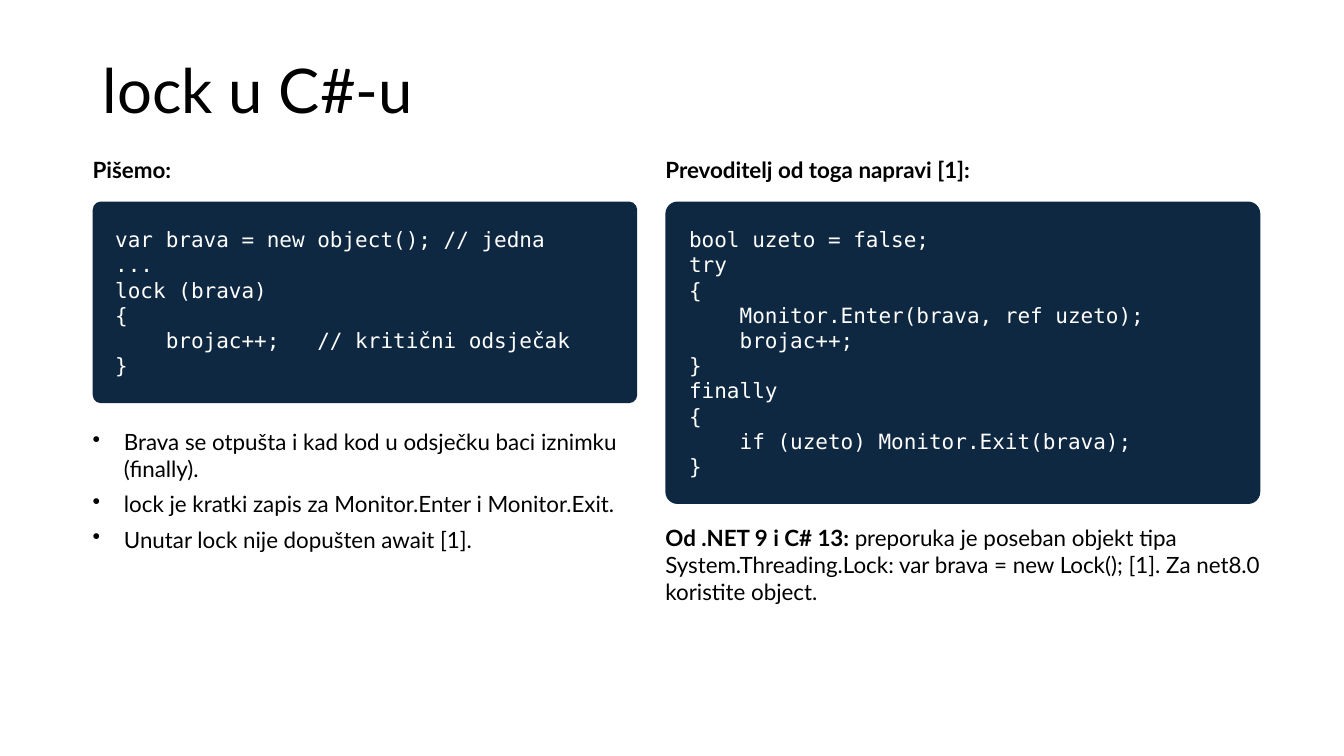
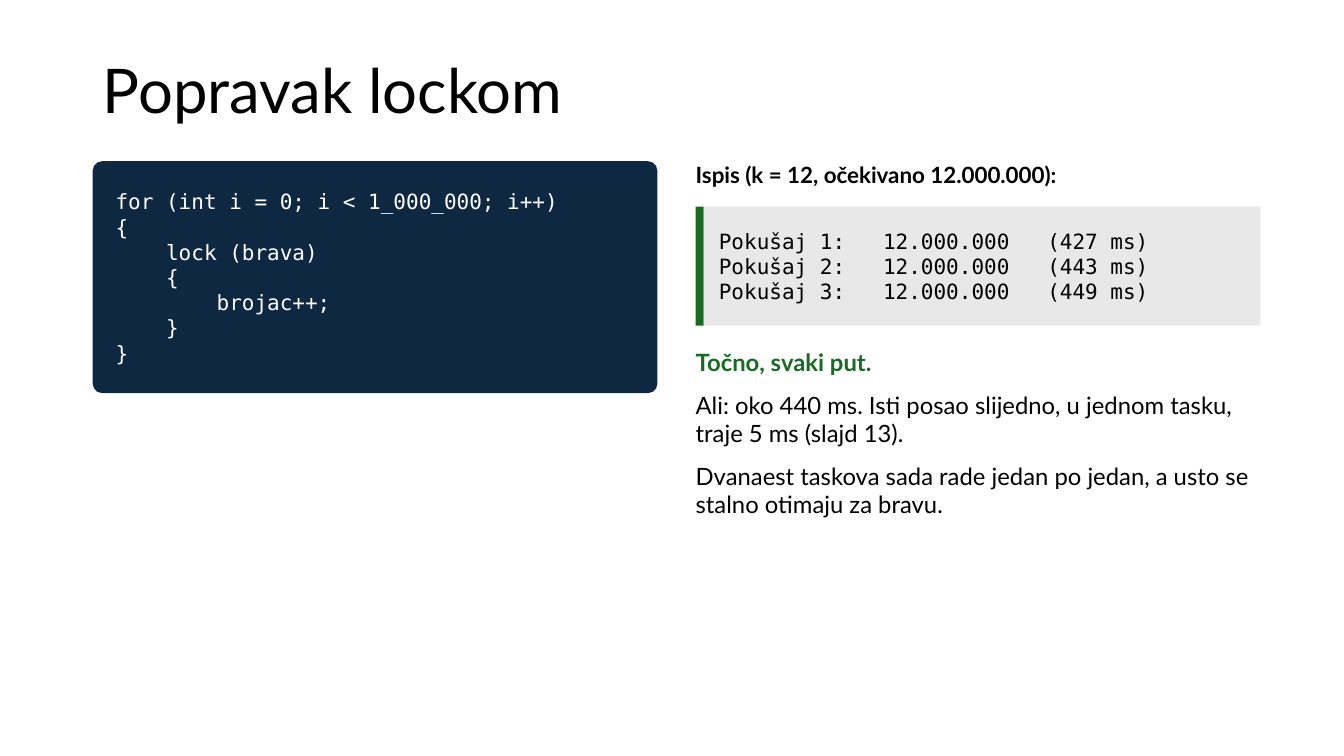
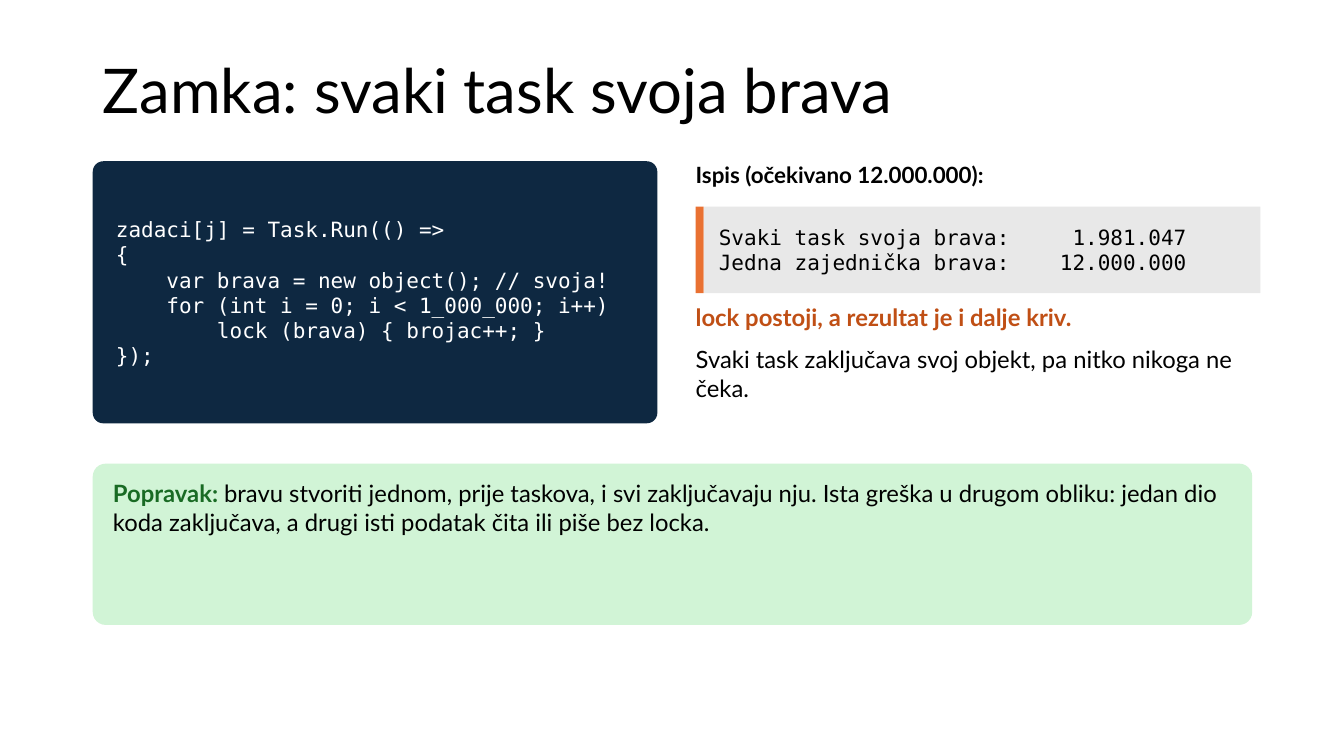
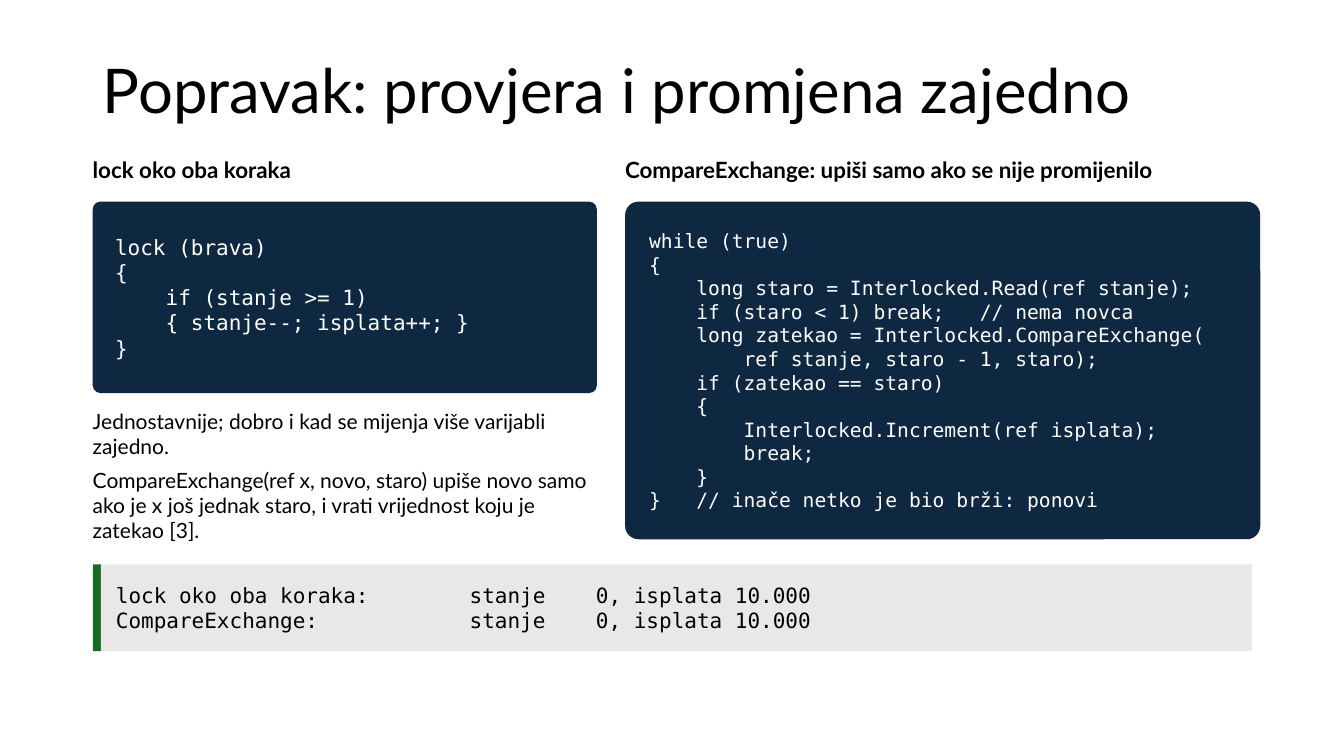
from typing import NamedTuple

from lxml.etree import SubElement
from pptx import Presentation
from pptx.dml.color import RGBColor
from pptx.enum.shapes import MSO_SHAPE
from pptx.enum.text import MSO_ANCHOR, MSO_AUTO_SIZE, PP_ALIGN
from pptx.oxml.ns import qn
from pptx.util import Pt

PX = 9144  # 100 px to the inch
SANS = "Lato"
MONO = "DejaVu Sans Mono"
BLACK, WHITE, NAVY, GREY = "000000", "FFFFFF", "0E2841", "E8E8E8"
GREEN, PALE_GREEN = "196B24", "D1F4D6"
ORANGE, DARK_ORANGE = "E97132", "C04F15"

LEFT = 92
CONTENT_WIDTH = 1150
HEADING_HEIGHT = 40
HEADING_STEP = 45
ACCENT_WIDTH = 8


class Box(NamedTuple):
    left: int
    top: int
    width: int
    height: int

    def emu(self):
        return [value * PX for value in self]


TITLE_BOX = Box(LEFT, 40, CONTENT_WIDTH, 106)


def rgb(value):
    return RGBColor.from_string(value)


def add_bullet(paragraph, indent):
    properties = paragraph._p.get_or_add_pPr()
    properties.set("marL", str(indent * PX))
    properties.set("indent", str(-indent * PX))
    SubElement(properties, qn("a:buChar"), char="•")


def write_text(frame, paragraphs, size=16, font=SANS, color=BLACK, bold=False,
               anchor=MSO_ANCHOR.TOP, insets=(0, 0, 0, 0), space_after=0,
               line_spacing=None, bullet_indent=0):
    """Fill a frame; a paragraph is a string or a list of (text, format) runs."""
    frame.word_wrap = True
    frame.vertical_anchor = anchor
    (frame.margin_left, frame.margin_top,
     frame.margin_right, frame.margin_bottom) = [inset * PX for inset in insets]
    for index, runs in enumerate(paragraphs):
        paragraph = frame.paragraphs[0] if index == 0 else frame.add_paragraph()
        if bullet_indent:
            add_bullet(paragraph, bullet_indent)
        paragraph.alignment = PP_ALIGN.LEFT
        paragraph.space_after = Pt(space_after)
        if line_spacing:
            paragraph.line_spacing = line_spacing
        for text, run_format in [(runs, {})] if isinstance(runs, str) else runs:
            run = paragraph.add_run()
            run.text = text
            run.font.name = font
            run.font.size = Pt(size)
            run.font.bold = run_format.get("bold", bold)
            run.font.color.rgb = rgb(run_format.get("color", color))


def add_text(slide, box, paragraphs, **text_format):
    frame = slide.shapes.add_textbox(*box.emu()).text_frame
    write_text(frame, paragraphs, **text_format)
    frame.auto_size = MSO_AUTO_SIZE.SHAPE_TO_FIT_TEXT


def add_panel(slide, box, fill, corner=None):
    """Add a plain filled rectangle, rounded when a corner ratio is given."""
    kind = MSO_SHAPE.RECTANGLE if corner is None else MSO_SHAPE.ROUNDED_RECTANGLE
    shape = slide.shapes.add_shape(kind, *box.emu())
    if corner is not None:
        shape.adjustments[0] = corner
    shape.shadow.inherit = False
    shape.fill.solid()
    shape.fill.fore_color.rgb = rgb(fill)
    shape.line.fill.background()
    return shape


def add_titled_slide(presentation, title):
    slide = presentation.slides.add_slide(presentation.slide_layouts[5])
    placeholder = slide.shapes.title
    placeholder.left, placeholder.top, placeholder.width, placeholder.height = TITLE_BOX.emu()
    write_text(placeholder.text_frame, [title], size=44, anchor=MSO_ANCHOR.MIDDLE,
               insets=(10, 5, 10, 5), line_spacing=0.9)
    placeholder.text_frame.auto_size = MSO_AUTO_SIZE.NONE
    return slide


def add_heading(slide, box, heading):
    """Write the heading of a column and return the box left below it."""
    add_text(slide, box._replace(height=HEADING_HEIGHT), [heading], bold=True)
    return box._replace(top=box.top + HEADING_STEP, height=box.height - HEADING_STEP)


def add_code(slide, box, code, size=15):
    panel = add_panel(slide, box, NAVY, corner=0.04)
    write_text(panel.text_frame, code.strip("\n").split("\n"), size=size, font=MONO,
               color=WHITE, anchor=MSO_ANCHOR.MIDDLE, insets=(20, 5, 10, 5))


def add_code_column(slide, box, heading, code, size=15):
    add_code(slide, add_heading(slide, box, heading), code, size)


def add_output(slide, left, top, width, lines, accent):
    """Show program output beside an accent bar and return its bottom edge."""
    height = 22 + 32 * len(lines)
    add_panel(slide, Box(left, top, ACCENT_WIDTH, height), accent)
    panel = add_panel(
        slide, Box(left + ACCENT_WIDTH, top, width - ACCENT_WIDTH, height), GREY)
    write_text(panel.text_frame, lines, size=15, font=MONO,
               anchor=MSO_ANCHOR.MIDDLE, insets=(15, 5, 10, 5))
    return top + height


def add_output_column(slide, box, heading, lines, accent, gap, remarks):
    body = add_heading(slide, box, heading)
    bottom = add_output(slide, body.left, body.top, body.width, lines, accent)
    remarks_top = bottom + gap
    remarks_box = body._replace(top=remarks_top, height=box.top + box.height - remarks_top)
    add_text(slide, remarks_box, remarks, size=17, space_after=10)


def add_callout(slide, box, runs):
    add_panel(slide, box, PALE_GREEN, corner=0.08)
    text_box = Box(box.left + 20, box.top + 15, box.width - 40, box.height - 20)
    add_text(slide, text_box, [runs], size=17)


LOCK_CODE = """
var brava = new object(); // jedna
...
lock (brava)
{
    brojac++;   // kritični odsječak
}
"""

MONITOR_CODE = """
bool uzeto = false;
try
{
    Monitor.Enter(brava, ref uzeto);
    brojac++;
}
finally
{
    if (uzeto) Monitor.Exit(brava);
}
"""

LOCKED_LOOP_CODE = """
for (int i = 0; i < 1_000_000; i++)
{
    lock (brava)
    {
        brojac++;
    }
}
"""

OWN_LOCK_CODE = """
zadaci[j] = Task.Run(() =>
{
    var brava = new object(); // svoja!
    for (int i = 0; i < 1_000_000; i++)
        lock (brava) { brojac++; }
});
"""

CHECK_CODE = """
lock (brava)
{
    if (stanje >= 1)
    { stanje--; isplata++; }
}
"""

COMPARE_EXCHANGE_CODE = """
while (true)
{
    long staro = Interlocked.Read(ref stanje);
    if (staro < 1) break;   // nema novca
    long zatekao = Interlocked.CompareExchange(
        ref stanje, staro - 1, staro);
    if (zatekao == staro)
    {
        Interlocked.Increment(ref isplata);
        break;
    }
}   // inače netko je bio brži: ponovi
"""


def build_lock_slide(presentation):
    slide = add_titled_slide(presentation, "lock u C#-u")
    left_column = Box(LEFT, 155, 540, 245)
    right_column = Box(660, 155, 590, 345)
    add_code_column(slide, left_column, "Pišemo:", LOCK_CODE)
    add_code_column(slide, right_column, "Prevoditelj od toga napravi [1]:", MONITOR_CODE)
    add_text(slide, left_column._replace(top=425, height=260), [
        "Brava se otpušta i kad kod u odsječku baci iznimku (finally).",
        "lock je kratki zapis za Monitor.Enter i Monitor.Exit.",
        "Unutar lock nije dopušten await [1].",
    ], space_after=6, bullet_indent=31)
    add_text(slide, right_column._replace(top=520, height=160), [[
        ("Od .NET 9 i C# 13: ", {"bold": True}),
        ("preporuka je poseban objekt tipa System.Threading.Lock: "
         "var brava = new Lock(); [1]. Za net8.0 koristite object.", {}),
    ]])


def build_locked_loop_slide(presentation):
    slide = add_titled_slide(presentation, "Popravak lockom")
    add_code(slide, Box(LEFT, 160, 560, 230), LOCKED_LOOP_CODE)
    add_output_column(
        slide, Box(690, 160, 560, 505), "Ispis (k = 12, očekivano 12.000.000):",
        [f"Pokušaj {attempt}:   12.000.000   ({duration} ms)"
         for attempt, duration in enumerate((427, 443, 449), start=1)],
        GREEN, 22, [
            [("Točno, svaki put.", {"bold": True, "color": GREEN})],
            "Ali: oko 440 ms. Isti posao slijedno, u jednom tasku, traje 5 ms (slajd 13).",
            "Dvanaest taskova sada rade jedan po jedan, a usto se stalno otimaju za bravu.",
        ])


def build_own_lock_slide(presentation):
    slide = add_titled_slide(presentation, "Zamka: svaki task svoja brava")
    add_code(slide, Box(LEFT, 160, 560, 260), OWN_LOCK_CODE)
    add_output_column(
        slide, Box(690, 160, 560, 340), "Ispis (očekivano 12.000.000):",
        ["Svaki task svoja brava:     1.981.047",
         "Jedna zajednička brava:    12.000.000"],
        ORANGE, 9, [
            [("lock postoji, a rezultat je i dalje kriv.",
              {"bold": True, "color": DARK_ORANGE})],
            "Svaki task zaključava svoj objekt, pa nitko nikoga ne čeka.",
        ])
    add_callout(slide, Box(LEFT, 460, CONTENT_WIDTH, 160), [
        ("Popravak: ", {"bold": True, "color": GREEN}),
        ("bravu stvoriti jednom, prije taskova, i svi zaključavaju nju. "
         "Ista greška u drugom obliku: jedan dio koda zaključava, "
         "a drugi isti podatak čita ili piše bez locka.", {}),
    ])


def build_check_and_change_slide(presentation):
    slide = add_titled_slide(presentation, "Popravak: provjera i promjena zajedno")
    left_column = Box(LEFT, 155, 500, 235)
    add_code_column(slide, left_column, "lock oko oba koraka", CHECK_CODE)
    add_code_column(slide, Box(620, 155, 630, 380),
                    "CompareExchange: upiši samo ako se nije promijenilo",
                    COMPARE_EXCHANGE_CODE, size=14)
    add_output(slide, LEFT, 560, CONTENT_WIDTH, [
        "lock oko oba koraka:        stanje    0, isplata 10.000",
        "CompareExchange:            stanje    0, isplata 10.000",
    ], GREEN)
    add_text(slide, left_column._replace(top=405, height=150), [
        "Jednostavnije; dobro i kad se mijenja više varijabli zajedno.",
        "CompareExchange(ref x, novo, staro) upiše novo samo ako je x još jednak staro, "
        "i vrati vrijednost koju je zatekao [3].",
    ], size=15, space_after=6)


def main():
    presentation = Presentation()
    presentation.slide_width = 1333 * PX
    presentation.slide_height = 750 * PX
    build_lock_slide(presentation)
    build_locked_loop_slide(presentation)
    build_own_lock_slide(presentation)
    build_check_and_change_slide(presentation)
    presentation.save("out.pptx")


if __name__ == "__main__":
    main()
